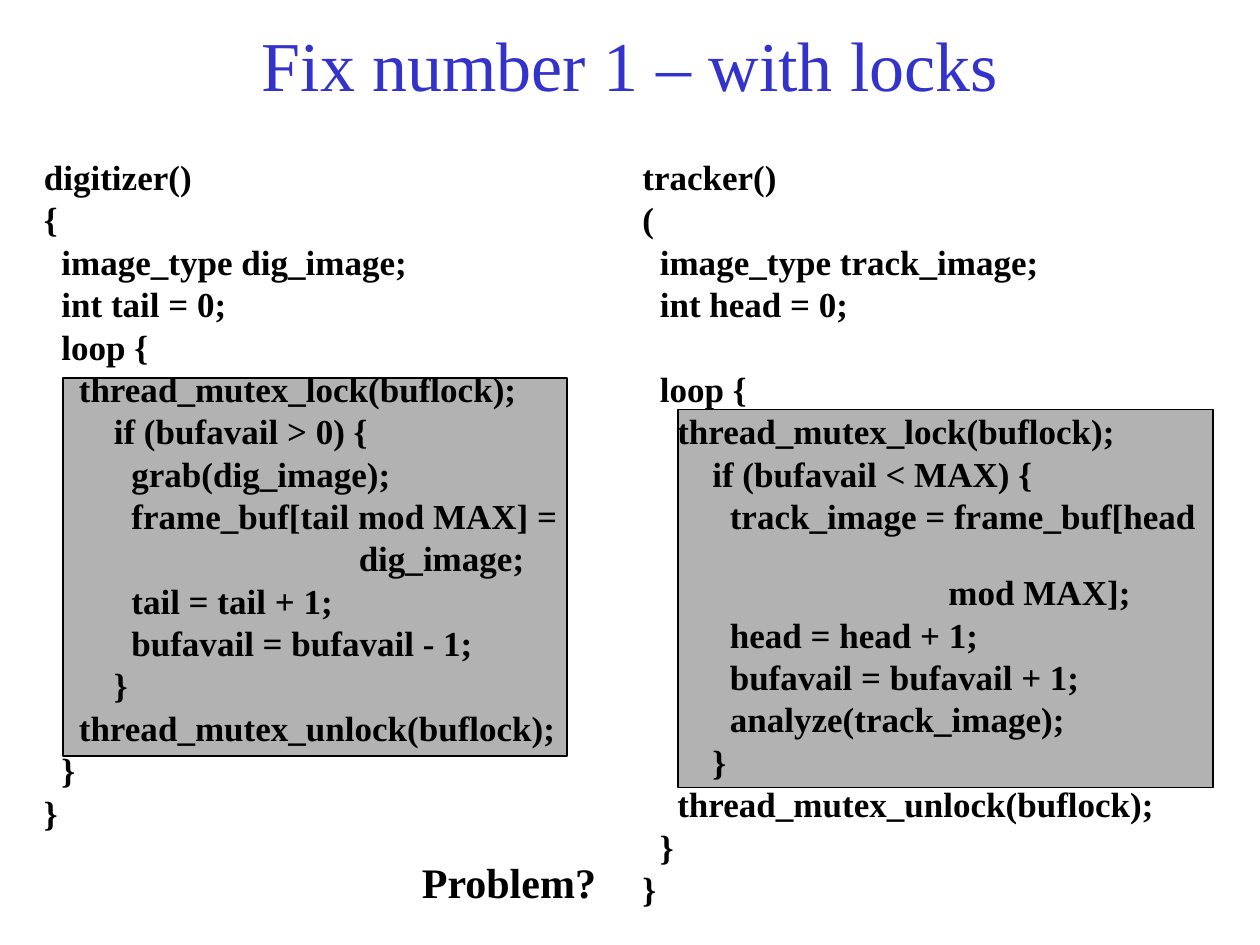
from dataclasses import dataclass, field
from pptx import Presentation
from pptx.dml.color import RGBColor
from pptx.enum.shapes import MSO_SHAPE
from pptx.enum.text import MSO_ANCHOR, PP_ALIGN
from pptx.slide import Slide
from pptx.text.text import TextFrame
from pptx.util import Inches, Pt

FONT = "Times New Roman"
COLORS = {"title": "3333CC", "text": "000000", "panel": "B2B2B2", "page": "FFFFFF"}


@dataclass(frozen=True)
class Box:
    """Place and size in inches."""
    left: float
    top: float
    width: float
    height: float

    def spot(self) -> tuple:
        """Return the four lengths."""
        return tuple(map(Inches, (self.left, self.top, self.width, self.height)))


@dataclass(frozen=True)
class Routine:
    """Code column, its locked region and extra gaps by line number."""
    box: Box
    panel: Box
    code: str
    gaps: dict[int, float] = field(default_factory=dict)


DIGIT = Routine(Box(0.25, 1.25, 4.38, 5.92), Box(0.5, 3, 4, 3), """\
digitizer()
{
  image_type dig_image;
  int tail = 0;
  loop {
    thread_mutex_lock(buflock);
        if (bufavail > 0) {
          grab(dig_image);
          frame_buf[tail mod MAX] =
                                    dig_image;
          tail = tail + 1;
          bufavail = bufavail - 1;
        }
    thread_mutex_unlock(buflock);
  }
}""")

TRACK = Routine(Box(5, 1.25, 4.63, 5.92), Box(5.38, 3.25, 4.25, 3), """\
tracker()
(
  image_type track_image;
  int head = 0;
  loop {
    thread_mutex_lock(buflock);
        if (bufavail < MAX) {
          track_image = frame_buf[head
                                   mod MAX];
          head = head + 1;
          bufavail = bufavail + 1;
          analyze(track_image);
        }
    thread_mutex_unlock(buflock);
  }
}""", {4: 24.2, 8: 19.4})


def color(name: str) -> RGBColor:
    """Look up a colour."""
    return RGBColor.from_string(COLORS[name])


def add_panel(slide: Slide, box: Box) -> None:
    """Draw the shaded region held under the lock."""
    panel = slide.shapes.add_shape(MSO_SHAPE.RECTANGLE, *box.spot())
    panel.shadow.inherit = False
    panel.fill.solid()
    panel.fill.fore_color.rgb = color("panel")
    panel.line.color.rgb = color("text")
    panel.line.width = Pt(1)


def add_text(slide: Slide, box: Box, text: str, size: float,
             tint: str = "text", bold: bool = True, wrap: bool = True) -> TextFrame:
    """Add a text box with one paragraph per line."""
    frame = slide.shapes.add_textbox(*box.spot()).text_frame
    frame.word_wrap = wrap
    frame.text = text
    for para in frame.paragraphs:
        para.font.name = FONT
        para.font.size = Pt(size)
        para.font.bold = bold
        para.font.color.rgb = color(tint)
    return frame


def add_code(slide: Slide, part: Routine) -> None:
    """Add a column of code."""
    frame = add_text(slide, part.box, part.code, 20)
    for row, para in enumerate(frame.paragraphs):
        para.line_spacing = 0.8
        if row:
            para.space_before = Pt(5 + part.gaps.get(row, 0))


def main() -> None:
    """Build the slide."""
    deck = Presentation()
    deck.slide_width, deck.slide_height = Inches(10), Inches(7.5)
    slide = deck.slides.add_slide(deck.slide_layouts[6])
    slide.background.fill.solid()
    slide.background.fill.fore_color.rgb = color("page")
    for part in (TRACK, DIGIT):
        add_panel(slide, part.panel)
    title = add_text(slide, Box(0.75, 0.17, 8.5, 0.67),
                     "Fix number 1 – with locks", 40, "title", False)
    title.vertical_anchor = MSO_ANCHOR.MIDDLE
    title.paragraphs[0].alignment = PP_ALIGN.CENTER
    for part in (DIGIT, TRACK):
        add_code(slide, part)
    add_text(slide, Box(3.25, 6.75, 1.59, 0.5), "Problem?", 24, wrap=False)
    deck.save("out.pptx")


if __name__ == "__main__":
    main()
